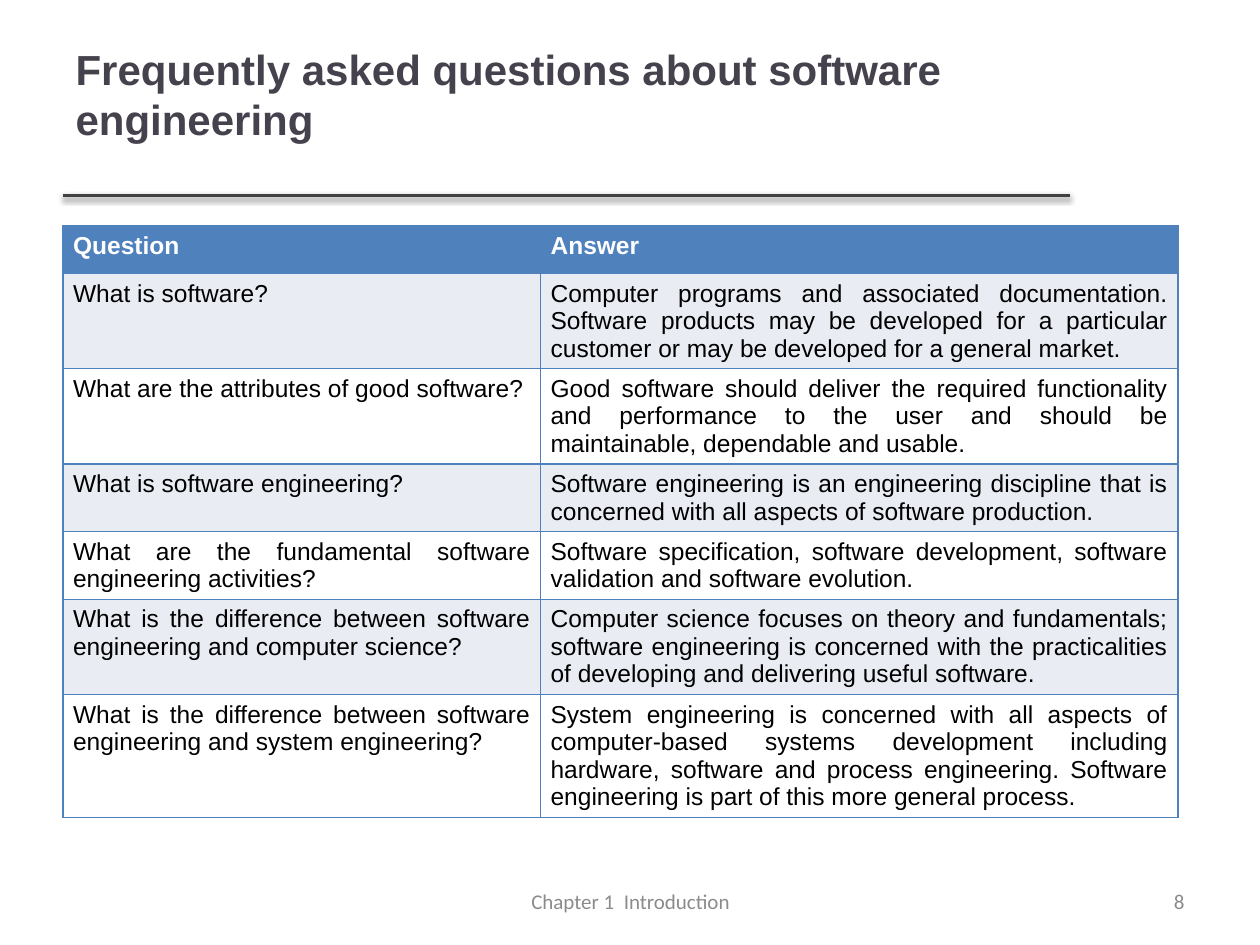
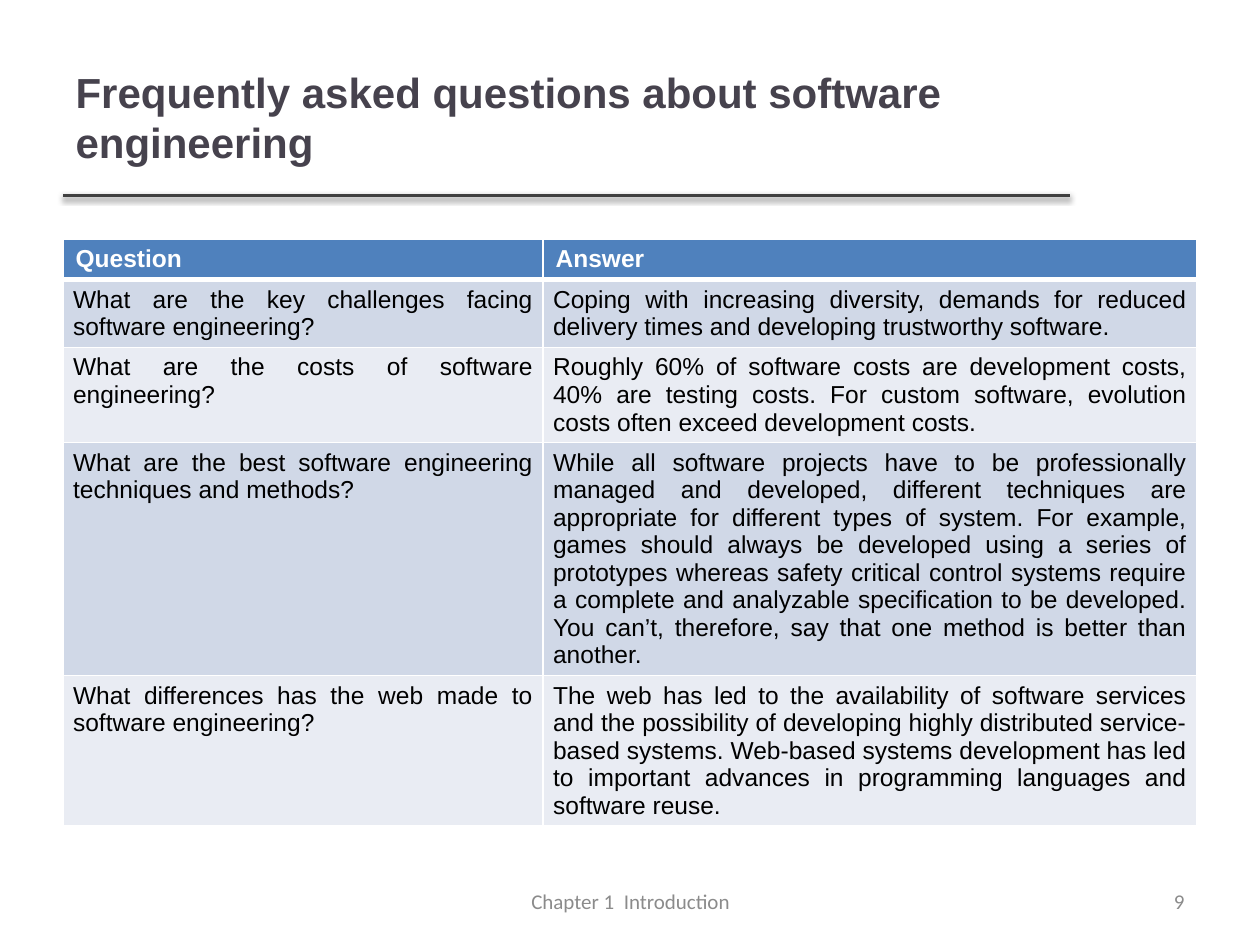
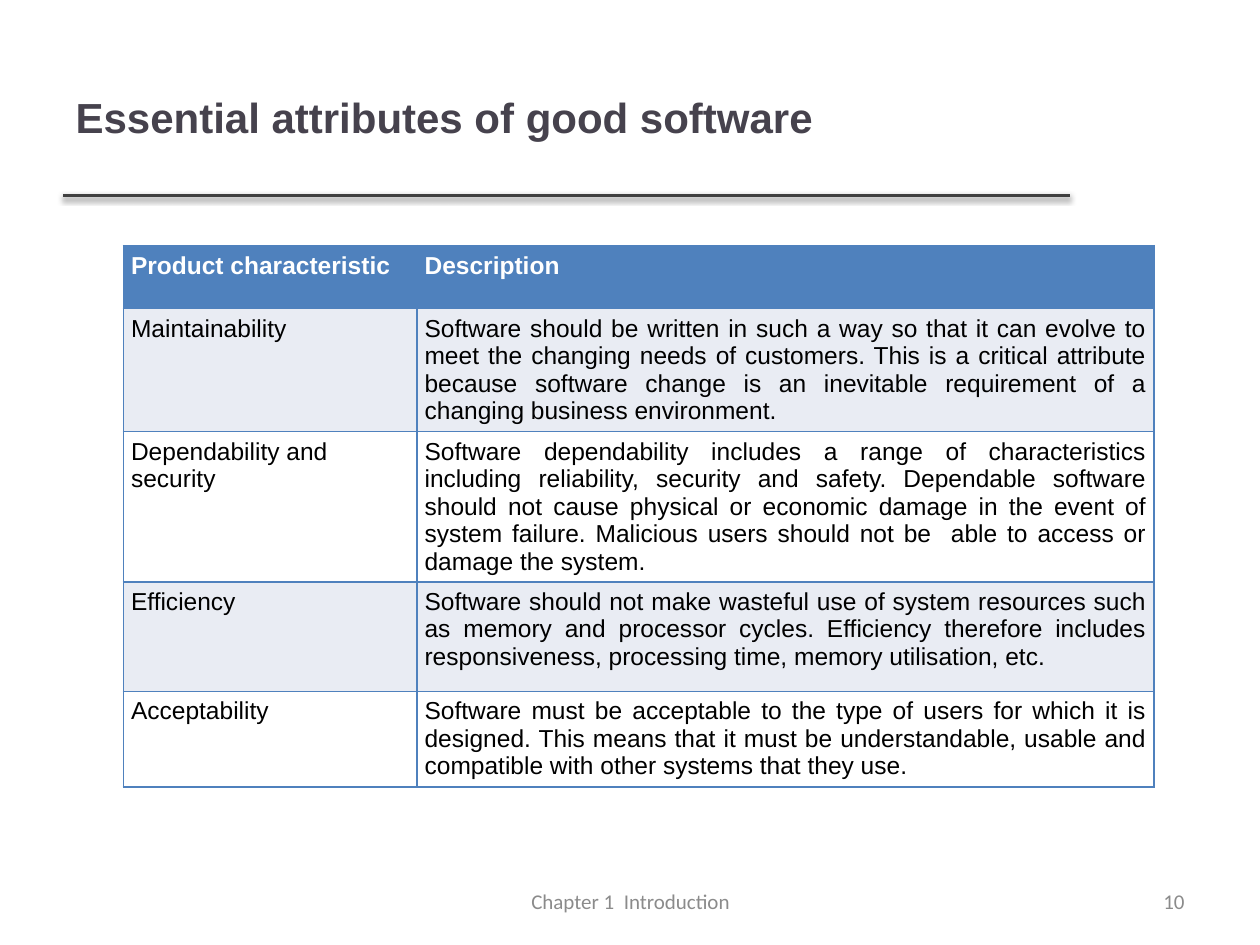
from dataclasses import dataclass
from typing import NamedTuple

from lxml.etree import SubElement
from pptx import Presentation
from pptx.dml.color import RGBColor
from pptx.enum.shapes import MSO_CONNECTOR
from pptx.enum.text import MSO_ANCHOR, MSO_AUTO_SIZE, PP_ALIGN as Align
from pptx.oxml.ns import qn
from pptx.util import Pt

PX = 9144  # EMU in one px, 100 px to the inch
COLORS = {
    "title": "46424D",
    "rule": "404040",
    "shadow": "000000",
    "footer": "8B8B8B",
    "blue": "4F81BD",
    "mid": "D0D8E7",
    "pale": "E9ECF3",
    "white": "FFFFFF",
    "black": "000000",
}
FOOTER = "Chapter 1  Introduction"
FIRST_PAGE = 8
TITLE_ONLY = 5
THIN = 0.96
CELL_MARGIN_Y = 5


class Box(NamedTuple):
    left: int
    top: int
    width: int
    height: int


class TextStyle(NamedTuple):
    font: str
    size: int
    color: str
    bold: bool = False


class Entry(NamedTuple):
    height: int
    term: str
    meaning: str
    term_align: Align = Align.JUSTIFY


@dataclass(frozen=True)
class GridStyle:
    border: str
    bands: tuple[str, str]
    margin: int
    header_margin: int
    header_align: Align = Align.JUSTIFY
    header_rule: float = THIN


@dataclass(frozen=True)
class Page:
    title: str
    origin: tuple[int, int]
    columns: tuple[int, int]
    grid: GridStyle
    entries: tuple[Entry, ...]
    title_box: Box = Box(50, 30, 798, 125)
    title_bottom: int = 5


TITLE = TextStyle("Arial", 24, "title", True)
HEADER = TextStyle("Arial", 14, "white", True)
BODY = TextStyle("Arial", 14, "black")
FOOT = TextStyle("Calibri", 12, "footer")

FOOTER_BOX = Box(342, 695, 317, 40)
NUMBER_BOX = Box(717, 695, 233, 40)

OUTLINED = GridStyle("blue", ("pale", "white"), 8, 8)
OUTLINED_NARROW = GridStyle("blue", ("pale", "white"), 6, 6)
BANDED = GridStyle("white", ("mid", "pale"), 8, 10, Align.LEFT, 3)

FAQ_TITLE = "Frequently asked questions about software engineering"

PAGES = (
    Page(
        FAQ_TITLE, (50, 179), (379, 506), OUTLINED,
        (
            Entry(38, "Question", "Answer"),
            Entry(73, "What is software?",
                  "Computer programs and associated documentation. Software products may be "
                  "developed for a particular customer or may be developed for a general market."),
            Entry(73, "What are the attributes of good software?",
                  "Good software should deliver the required functionality and performance to "
                  "the user and should be maintainable, dependable and usable."),
            Entry(51, "What is software engineering?",
                  "Software engineering is an engineering discipline that is concerned with all "
                  "aspects of software production."),
            Entry(51, "What are the fundamental software engineering activities?",
                  "Software specification, software development, software validation and "
                  "software evolution."),
            Entry(73, "What is the difference between software engineering and computer science?",
                  "Computer science focuses on theory and fundamentals; software engineering is "
                  "concerned with the practicalities of developing and delivering useful software."),
            Entry(95, "What is the difference between software engineering and system engineering?",
                  "System engineering is concerned with all aspects of computer-based systems "
                  "development including hardware, software and process engineering. Software "
                  "engineering is part of this more general process."),
        ),
        title_box=Box(50, 30, 841, 129),
        title_bottom=45,
    ),
    Page(
        FAQ_TITLE, (50, 190), (381, 519), BANDED,
        (
            Entry(32, "Question", "Answer"),
            Entry(51, "What are the key challenges facing software engineering?",
                  "Coping with increasing diversity, demands for reduced delivery times and "
                  "developing trustworthy software."),
            Entry(73, "What are the costs of software engineering?",
                  "Roughly 60% of software costs are development costs, 40% are testing costs. "
                  "For custom software, evolution costs often exceed development costs."),
            Entry(182, "What are the best software engineering techniques and methods?",
                  "While all software projects have to be professionally managed and developed, "
                  "different techniques are appropriate for different types of system. For "
                  "example, games should always be developed using a series of prototypes whereas "
                  "safety critical control systems require a complete and analyzable specification "
                  "to be developed. You can’t, therefore, say that one method is better than "
                  "another."),
            Entry(117, "What differences has the web made to software engineering?",
                  "The web has led to the availability of software services and the possibility "
                  "of developing highly distributed service-based systems. Web-based systems "
                  "development has led to important advances in programming languages and "
                  "software reuse."),
        ),
    ),
    Page(
        "Essential attributes of good software", (98, 195), (233, 585), OUTLINED_NARROW,
        (
            Entry(50, "Product characteristic", "Description"),
            Entry(97, "Maintainability",
                  "Software should be written in such a way so that it can evolve to meet the "
                  "changing needs of customers. This is a critical attribute because software "
                  "change is an inevitable requirement of a changing business environment."),
            Entry(119, "Dependability and security",
                  "Software dependability includes a range of characteristics including "
                  "reliability, security and safety. Dependable software should not cause physical "
                  "or economic damage in the event of system failure. Malicious users should not "
                  "be  able to access or damage the system.", Align.LEFT),
            Entry(87, "Efficiency",
                  "Software should not make wasteful use of system resources such as memory and "
                  "processor cycles. Efficiency therefore includes responsiveness, processing "
                  "time, memory utilisation, etc."),
            Entry(76, "Acceptability",
                  "Software must be acceptable to the type of users for which it is designed. "
                  "This means that it must be understandable, usable and compatible with other "
                  "systems that they use."),
        ),
    ),
)


def emu(*lengths: int) -> list[int]:
    return [length * PX for length in lengths]


def rgb(color: str) -> RGBColor:
    return RGBColor.from_string(COLORS[color])


def write(frame, text: str, style: TextStyle, align: Align) -> None:
    paragraph = frame.paragraphs[0]
    paragraph.alignment = align
    run = paragraph.add_run()
    run.text = text
    run.font.name = style.font
    run.font.size = Pt(style.size)
    run.font.bold = style.bold
    run.font.color.rgb = rgb(style.color)


def add_title(slide, page: Page) -> None:
    title = slide.shapes.title
    title.left, title.top, title.width, title.height = emu(*page.title_box)
    frame = title.text_frame
    frame.word_wrap = True
    frame.auto_size = MSO_AUTO_SIZE.NONE
    frame.vertical_anchor = MSO_ANCHOR.MIDDLE
    frame.margin_bottom = page.title_bottom * PX
    write(frame, page.title, TITLE, Align.LEFT)


def add_title_rule(slide) -> None:
    """Draw the shadowed line below the title."""
    rule = slide.shapes.add_connector(MSO_CONNECTOR.STRAIGHT, *emu(50, 155, 849, 155))
    rule.line.color.rgb = rgb("rule")
    rule.line.width = Pt(2)
    effects = SubElement(rule._element.spPr, qn("a:effectLst"))
    shadow = SubElement(effects, qn("a:outerShdw"), blurRad=str(Pt(3.1)), dist=str(Pt(1.6)),
                        dir="5400000", rotWithShape="0")
    color = SubElement(shadow, qn("a:srgbClr"), val=COLORS["shadow"])
    SubElement(color, qn("a:alpha"), val="38000")


def add_footer_text(slide, box: Box, text: str, align: Align) -> None:
    frame = slide.shapes.add_textbox(*emu(*box)).text_frame
    frame.word_wrap = True
    frame.vertical_anchor = MSO_ANCHOR.MIDDLE
    write(frame, text, FOOT, align)


def add_borders(cell, color: str, top: float, bottom: float) -> None:
    properties = cell._tc.get_or_add_tcPr()
    for side, width in (("L", THIN), ("R", THIN), ("T", top), ("B", bottom)):
        line = SubElement(properties, qn(f"a:ln{side}"), w=str(Pt(width)))
        fill = SubElement(line, qn("a:solidFill"))
        SubElement(fill, qn("a:srgbClr"), val=COLORS[color])


def add_entries(slide, page: Page) -> None:
    """Draw the two-column table; its first entry is the header."""
    grid = page.grid
    size = sum(page.columns), sum(entry.height for entry in page.entries)
    table = slide.shapes.add_table(
        len(page.entries), len(page.columns), *emu(*page.origin, *size)).table
    table.horz_banding = False
    for column, width in zip(table.columns, page.columns):
        column.width = width * PX

    for index, entry in enumerate(page.entries):
        is_header = index == 0
        table.rows[index].height = entry.height * PX
        margin = grid.header_margin if is_header else grid.margin
        aligns = (grid.header_align,) * 2 if is_header else (entry.term_align, Align.JUSTIFY)
        fill = "blue" if is_header else grid.bands[(index - 1) % 2]
        top = grid.header_rule if index == 1 else THIN
        bottom = grid.header_rule if is_header else THIN
        for column, text in enumerate((entry.term, entry.meaning)):
            cell = table.cell(index, column)
            cell.margin_left = cell.margin_right = margin * PX
            cell.margin_top = cell.margin_bottom = CELL_MARGIN_Y * PX
            add_borders(cell, grid.border, top, bottom)
            cell.fill.solid()
            cell.fill.fore_color.rgb = rgb(fill)
            write(cell.text_frame, text, HEADER if is_header else BODY, aligns[column])


def main() -> None:
    deck = Presentation()
    deck.slide_width, deck.slide_height = emu(1000, 750)
    for number, page in enumerate(PAGES, FIRST_PAGE):
        slide = deck.slides.add_slide(deck.slide_layouts[TITLE_ONLY])
        add_title_rule(slide)
        add_title(slide, page)
        add_entries(slide, page)
        add_footer_text(slide, FOOTER_BOX, FOOTER, Align.CENTER)
        add_footer_text(slide, NUMBER_BOX, str(number), Align.RIGHT)
    deck.save("out.pptx")


if __name__ == "__main__":
    main()
